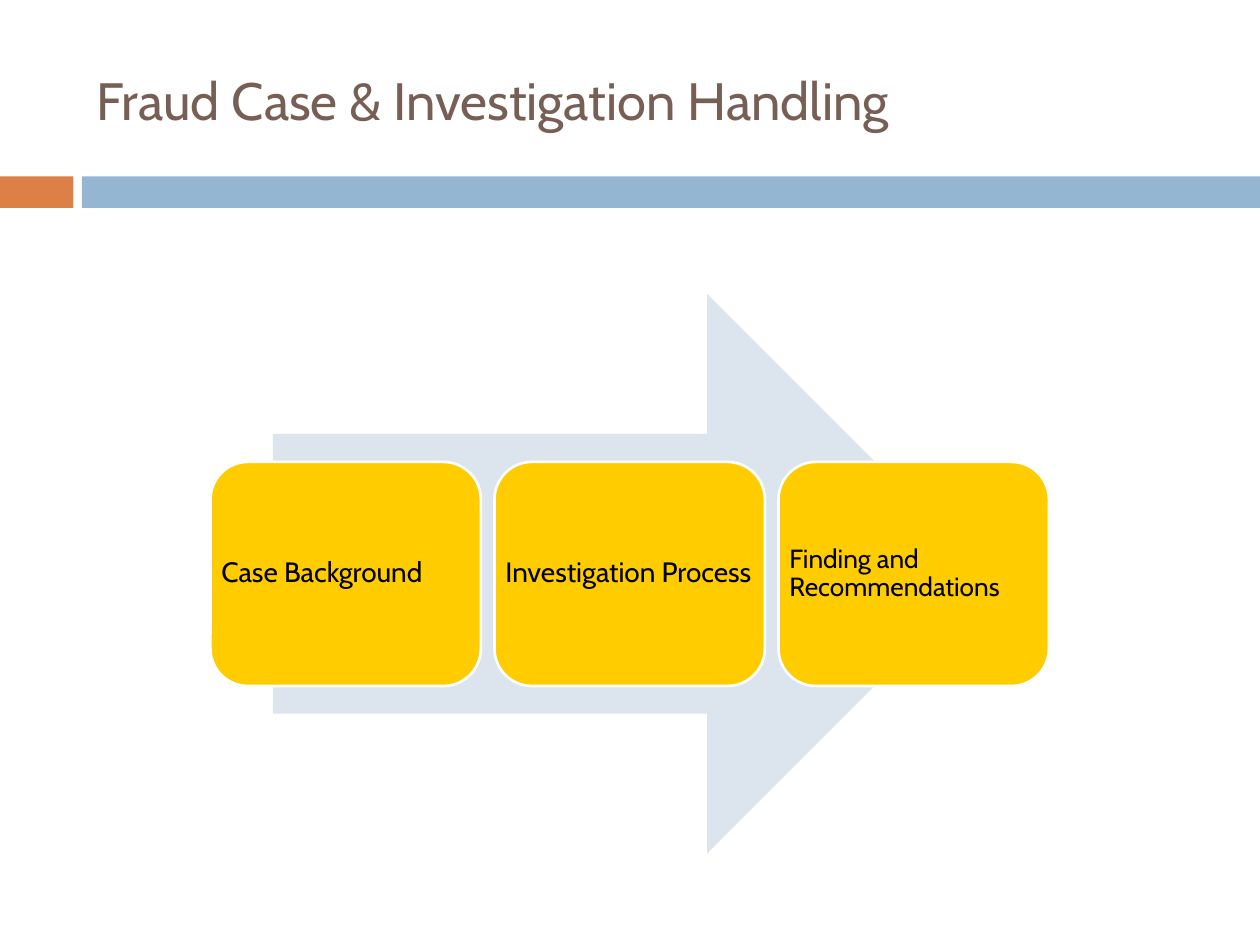
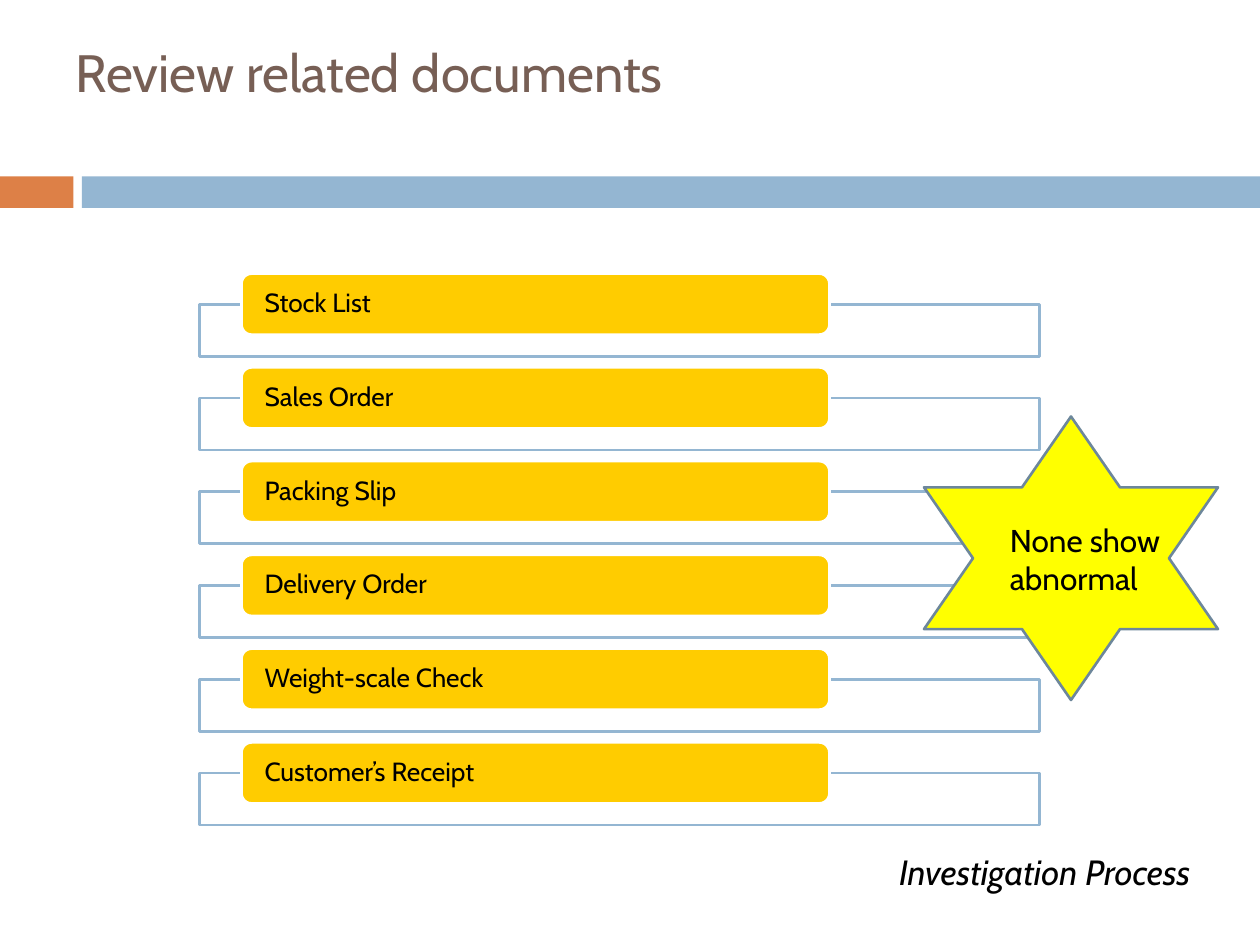
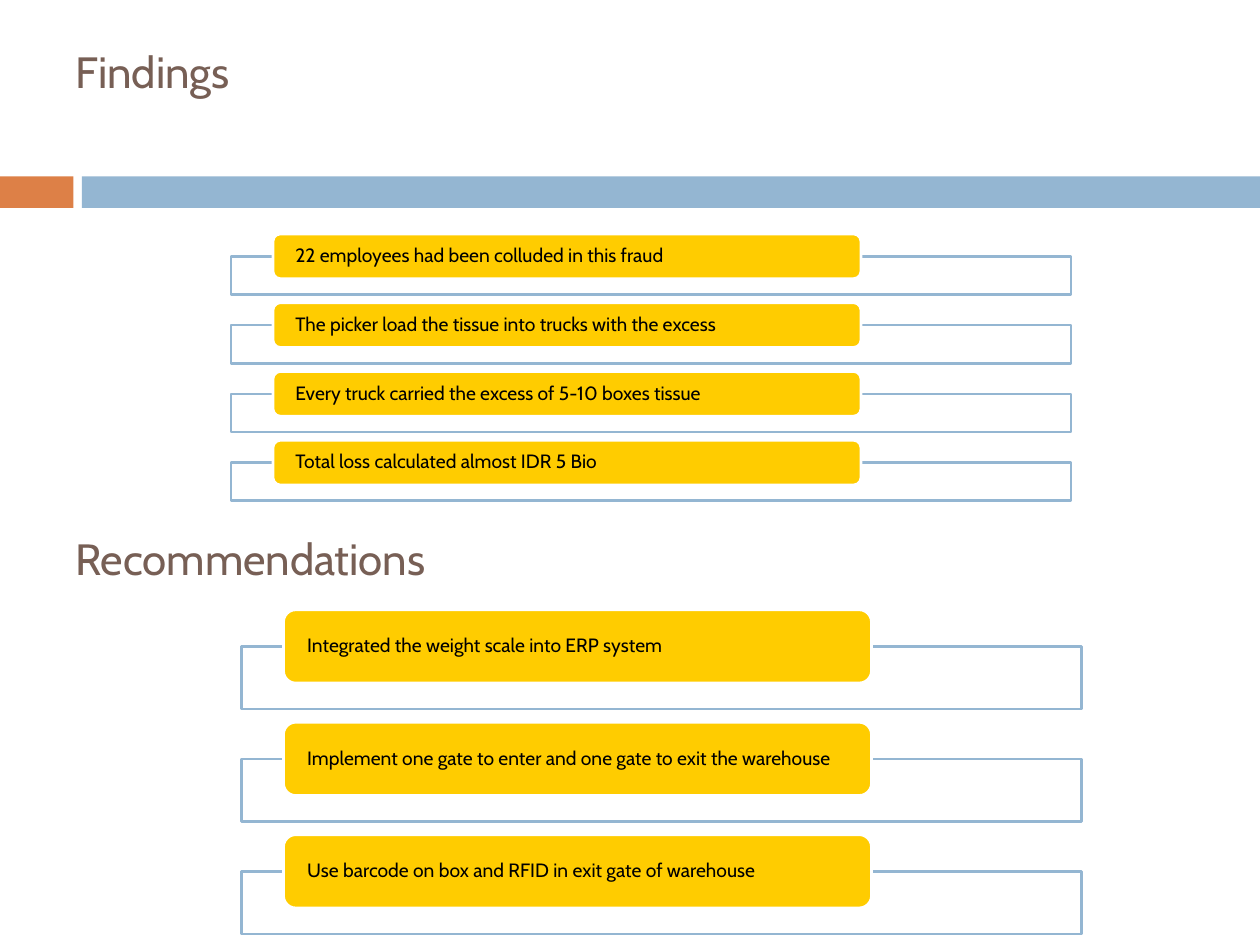
from lxml.etree import SubElement
from pptx import Presentation
from pptx.dml.color import RGBColor
from pptx.enum.shapes import MSO_SHAPE as SHAPE
from pptx.enum.text import MSO_ANCHOR as ANCHOR, MSO_AUTO_SIZE as AUTO_SIZE, PP_ALIGN as ALIGN
from pptx.oxml.ns import qn
from pptx.util import Pt

FONT = "Cabin"
COLORS = {
    "orange": "DD8047", "blue": "94B6D2", "brown": "775F55", "pale": "DCE5EE",
    "gold": "FFCC00", "yellow": "FFFF00", "slate": "6D879B", "white": "FFFFFF", "black": "000000",
}

# Places are left, top, width, height in points.
BANDS = [("orange", (0, 100.8, 42, 18)), ("blue", (46.8, 100.8, 673.2, 18))]
TITLES = [
    ("Fraud Case & Investigation Handling", (48, 18, 642, 78), 30),
    ("Review related documents", (36, 21.6, 648, 38), 30),
    ("Findings", (36, 21.6, 648, 38), 25),
]
STEPS = [("Case Background", 16), ("Investigation Process", 16), ("Finding and Recommendations", 15)]
DOCUMENTS = ["Stock List", "Sales Order", "Packing Slip", "Delivery Order",
             "Weight-scale Check", "Customer’s Receipt"]
FINDINGS = [
    "22 employees had been colluded in this fraud",
    "The picker load the tissue into trucks with the excess",
    "Every truck carried the excess of 5-10 boxes tissue",
    "Total loss calculated almost IDR 5 Bio",
]
RECOMMENDATIONS = [
    "Integrated the weight scale into ERP system",
    "Implement one gate to enter and one gate to exit the warehouse",
    "Use barcode on box and RFID in exit gate of warehouse",
]


def rgb(name):
    return RGBColor.from_string(COLORS[name])


def points(place):
    return [Pt(value) for value in place]


def write(shape, text, size, color="black", align=ALIGN.LEFT, anchor=ANCHOR.MIDDLE,
          inset=None, spacing=None, italic=None):
    frame = shape.text_frame
    frame.text = text
    frame.word_wrap = True
    frame.auto_size = AUTO_SIZE.NONE
    frame.vertical_anchor = anchor
    if inset is not None:
        frame.margin_left = frame.margin_right = Pt(inset)
        frame.margin_top = frame.margin_bottom = 0
    para = frame.paragraphs[0]
    para.alignment = align
    para.line_spacing = spacing
    font = para.font
    font.name, font.size, font.italic = FONT, Pt(size), italic
    font.color.rgb = rgb(color)


def add_shape(page, kind, place, fill, line=None):
    shape = page.shapes.add_shape(kind, *points(place))
    shape.shadow.inherit = False
    shape.fill.solid()
    shape.fill.fore_color.rgb = rgb(fill)
    if line:
        shape.line.color.rgb = rgb(line)
        shape.line.width = Pt(1.5)
    else:
        shape.line.fill.background()
    return shape


def add_text(page, place, text, size, **style):
    write(page.shapes.add_textbox(*points(place)), text, size, **style)


def add_page(deck, layout, text, place, size):
    page = deck.slides.add_slide(layout)
    title = page.shapes.title
    title.left, title.top, title.width, title.height = points(place)
    write(title, text, size, "brown")
    return page


def move_bands_to_layout(page, layout):
    """Layouts cannot create shapes, so draw the bands on a page and move them."""
    for index, (color, place) in enumerate(BANDS):
        band = add_shape(page, SHAPE.RECTANGLE, place, color)
        layout.shapes.element.insert(2 + index, band.element)


def add_steps(page):
    add_shape(page, SHAPE.RIGHT_ARROW, (156, 168, 408, 319.7), "pale")
    left, width, pitch = 120.3, 154.5, 162.3
    for index, (text, size) in enumerate(STEPS):
        place = (left + index * pitch, 264, width, 128)
        step = add_shape(page, SHAPE.ROUNDED_RECTANGLE, place, "gold", "white")
        write(step, text, size, inset=0, spacing=0.9)


def add_bars(page, items, left, top, pitch, height, size):
    """Stack bars, each on an outlined frame that starts at the bar's middle."""
    for index, text in enumerate(items):
        bar_top = top + index * pitch
        frame_place = (left, bar_top + height / 2, 480, height * 0.854)
        frame = add_shape(page, SHAPE.RECTANGLE, frame_place, "white", "blue")
        fill = frame.element.spPr.find(qn("a:solidFill"))
        SubElement(fill[0], qn("a:alpha"), val="90000")
        bar = add_shape(page, SHAPE.ROUNDED_RECTANGLE, (left + 24, bar_top, 336, height),
                        "gold", "white")
        write(bar, text, size, inset=11.5, spacing=0.9)


def main():
    deck = Presentation()
    deck.slide_width, deck.slide_height = Pt(720), Pt(540)
    layout = deck.slide_layouts[5]
    overview, review, results = [add_page(deck, layout, *title) for title in TITLES]
    move_bands_to_layout(overview, layout)

    add_steps(overview)

    add_bars(review, DOCUMENTS, 114, 156.4, 53.57, 34.87, 15)
    add_shape(review, SHAPE.STAR_6_POINT, (528, 238, 168, 162), "yellow", "slate")
    add_text(review, (570, 294, 132, 51), "None show abnormal", 18, anchor=ANCHOR.TOP)
    add_text(review, (474, 474, 246, 48), "Investigation Process", 20,
             align=ALIGN.CENTER, italic=True)

    add_bars(results, FINDINGS, 132, 133.7, 39.3, 25.57, 11)
    add_bars(results, RECOMMENDATIONS, 138, 348.5, 64.25, 41.85, 11)
    add_text(results, (36, 300, 648, 38), "Recommendations", 25, color="brown")

    deck.save("out.pptx")


if __name__ == "__main__":
    main()
